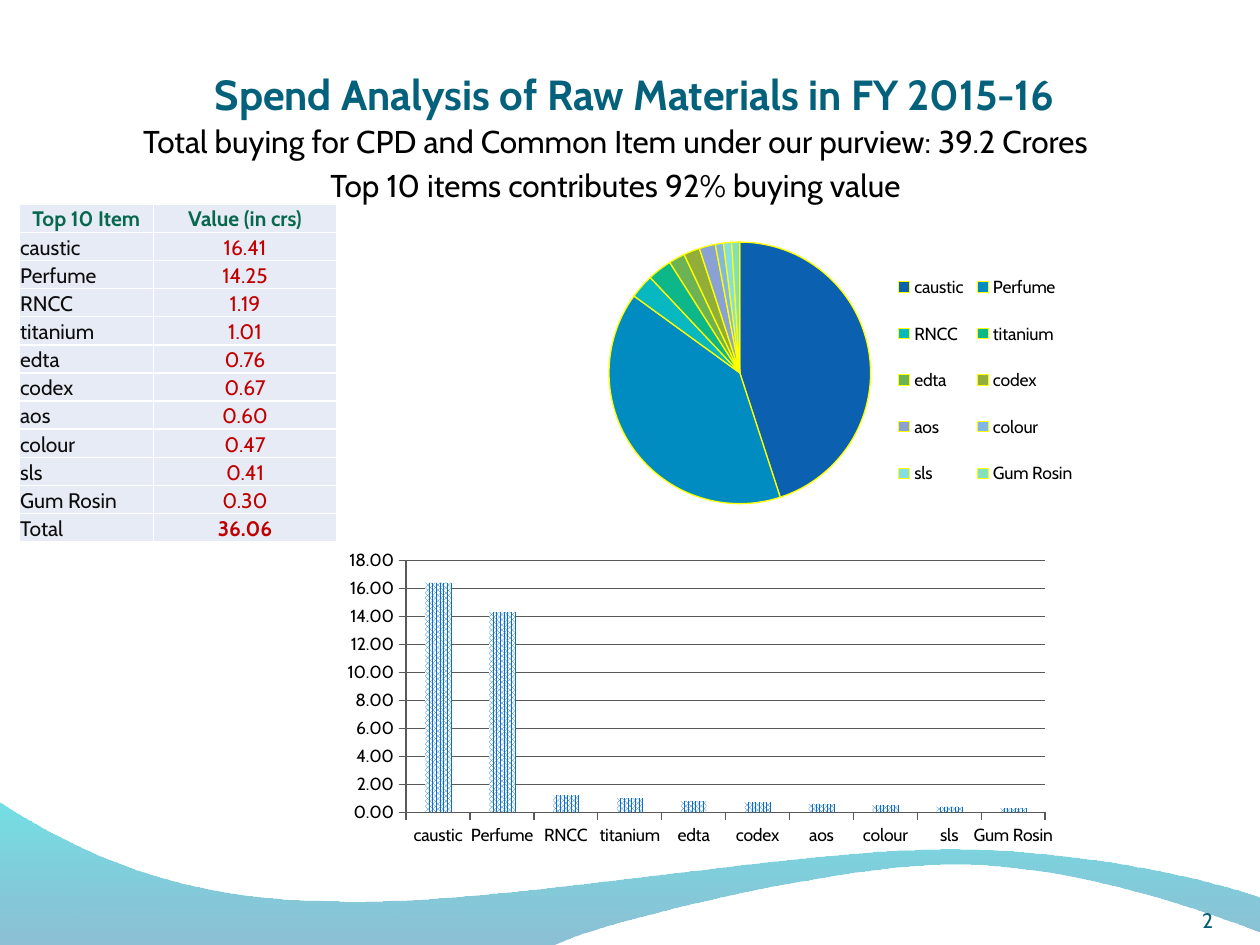
from dataclasses import dataclass

from lxml import etree
from pptx import Presentation
from pptx.chart.data import CategoryChartData
from pptx.dml.color import RGBColor
from pptx.enum.chart import XL_CHART_TYPE, XL_LEGEND_POSITION, XL_TICK_MARK
from pptx.enum.dml import MSO_PATTERN
from pptx.enum.text import MSO_ANCHOR, PP_ALIGN
from pptx.oxml.ns import qn
from pptx.util import Inches, Pt

PIE, COLUMN = XL_CHART_TYPE.PIE, XL_CHART_TYPE.COLUMN_CLUSTERED
LEGEND_RIGHT = XL_LEGEND_POSITION.RIGHT
TICK_OUT, TICK_NONE = XL_TICK_MARK.OUTSIDE, XL_TICK_MARK.NONE
DOTS = MSO_PATTERN.PERCENT_80
TOP, BOTTOM = MSO_ANCHOR.TOP, MSO_ANCHOR.BOTTOM
LEFT, CENTER = PP_ALIGN.LEFT, PP_ALIGN.CENTER


@dataclass(frozen=True)
class Theme:
    font: str = "Cabin"
    title: str = "04617B"
    number: str = "045D75"
    text: str = "000000"
    white: str = "FFFFFF"
    header: str = "08684E"
    item: str = "0D0D0D"
    value: str = "C00000"
    cell: str = "E7EBF5"
    bar: str = "0F6FC6"
    grid: str = "595959"
    slice_line: str = "FFFF00"
    slices: tuple = ("0B60AF", "008BC1", "07B8C1", "0DB789", "6DB356",
                     "92AE39", "8AA1D4", "84B6E2", "84DEE4", "84DFBC")
    wave: tuple = (("0074A1", 45), ("00C6CF", 55))
    title_size: int = 24
    body_size: int = 18
    small_size: int = 12
    chart_size: int = 10


THEME = Theme()
ITEMS = [("caustic", "16.41"), ("Perfume", "14.25"), ("RNCC", "1.19"),
         ("titanium", "1.01"), ("edta", "0.76"), ("codex", "0.67"),
         ("aos", "0.60"), ("colour", "0.47"), ("sls", "0.41"),
         ("Gum Rosin", "0.30")]
NAMES = [name for name, _ in ITEMS]
SHARES = [45, 40, 3, 3, 2, 2, 2, 1, 1, 1]
SPEND = [16.4, 14.3, 1.2, 1, 0.8, 0.7, 0.6, 0.5, 0.4, 0.3]
# Each wave edge is a start point followed by cubic curve segments.
LOWER_EDGE = [(4.4, 7.5), (4.76, 7.32), (6.64, 6.86), (7.58, 6.86),
              (8.53, 6.86), (9.58, 7.24), (10, 7.4)]
UPPER_EDGE = [(10.01, 7.13), (9.83, 7.05), (8.7, 6.73), (7.46, 6.74),
              (6.22, 6.74), (3.82, 7.21), (2.57, 7.15),
              (1.29, 7.14), (0.46, 6.66), (-0.01, 6.36)]


def rgb(value):
    return RGBColor.from_string(value)


def curve_points(nodes, steps=24):
    """Sample a chain of cubic Bezier segments."""
    points = [nodes[0]]
    for i in range(0, len(nodes) - 1, 3):
        for k in range(1, steps + 1):
            t = k / steps
            weights = ((1 - t) ** 3, 3 * t * (1 - t) ** 2,
                       3 * t * t * (1 - t), t ** 3)
            points.append(tuple(
                sum(w * node[axis] for w, node in zip(weights, nodes[i:i + 4]))
                for axis in (0, 1)))
    return points


def write(tf, *lines, size, color, bold=False, align=CENTER, anchor=TOP, before=0):
    tf.word_wrap = True
    tf.vertical_anchor = anchor
    for i, line in enumerate(lines):
        p = tf.add_paragraph() if i else tf.paragraphs[0]
        p.alignment = align
        if i:
            p.space_before = Pt(before)
        r = p.add_run()
        r.text = line
        r.font.name, r.font.size, r.font.bold = THEME.font, Pt(size), bold
        r.font.color.rgb = rgb(color)


def set_layout(parent, index, x, y, w, h, inner=False):
    """Place a plot area or legend by fractions of its chart."""
    for old in parent.findall(qn("c:layout")):
        parent.remove(old)
    layout = etree.Element(qn("c:layout"))
    manual = etree.SubElement(layout, qn("c:manualLayout"))
    values = [("layoutTarget", "inner")] if inner else []
    values += [("xMode", "edge"), ("yMode", "edge"),
               ("x", x), ("y", y), ("w", w), ("h", h)]
    for tag, value in values:
        etree.SubElement(manual, qn(f"c:{tag}")).set("val", str(value))
    parent.insert(index, layout)


class SlideBuilder:
    def __init__(self, prs):
        self.s = prs.slides.add_slide(prs.slide_layouts[6])

    def wave(self, points):
        start, *rest = [(Inches(x), Inches(y)) for x, y in points]
        builder = self.s.shapes.build_freeform(*start)
        builder.add_line_segments(rest, close=True)
        sp = builder.convert_to_shape()
        sp.shadow.inherit = False
        sp.line.fill.background()
        sp.fill.gradient()
        sp.fill.gradient_angle = 90
        for stop, (color, _) in zip(sp.fill.gradient_stops, THEME.wave):
            stop.color.rgb = rgb(color)
        colors = sp._element.spPr.iter(qn("a:srgbClr"))
        for element, (_, alpha) in zip(colors, THEME.wave):
            etree.SubElement(element, qn("a:alpha")).set("val", str(alpha * 1000))

    def text(self, box, *lines, inset=(0.1, 0.05), **fmt):
        tf = self.s.shapes.add_textbox(*map(Inches, box)).text_frame
        tf.margin_left = tf.margin_right = Inches(inset[0])
        tf.margin_top = tf.margin_bottom = Inches(inset[1])
        write(tf, *lines, **fmt)

    def table(self, box, widths, rows):
        table = self.s.shapes.add_table(
            len(rows), len(widths), *map(Inches, box)).table
        table.first_row = table.horz_banding = False
        for column, width in zip(table.columns, widths):
            column.width = Inches(width)
        last = len(rows) - 1
        for i, row in enumerate(rows):
            for j, value in enumerate(row):
                color = THEME.header if i == 0 else (THEME.item, THEME.value)[j]
                self.cell(table.cell(i, j), value, color=color,
                          bold=i == 0 or (i == last and j == 1),
                          align=LEFT if i and j == 0 else CENTER)

    def cell(self, cell, value, **fmt):
        cell.margin_left = cell.margin_right = cell.margin_top = Inches(0.01)
        cell.margin_bottom = 0
        cell.vertical_anchor = BOTTOM
        write(cell.text_frame, value, size=THEME.small_size, **fmt)
        tc_pr = cell._tc.get_or_add_tcPr()
        for side in ("lnL", "lnR", "lnT", "lnB"):
            line = etree.SubElement(tc_pr, qn(f"a:{side}"), w=str(Pt(1)))
            fill = etree.SubElement(line, qn("a:solidFill"))
            etree.SubElement(fill, qn("a:srgbClr"), val=THEME.white)
        cell.fill.solid()
        cell.fill.fore_color.rgb = rgb(THEME.cell)

    def chart(self, kind, box, values, plot_layout):
        data = CategoryChartData()
        data.categories = NAMES
        data.add_series("Series 1", values)
        chart = self.s.shapes.add_chart(kind, *map(Inches, box), data).chart
        chart.has_title = chart.has_legend = False
        chart.font.name, chart.font.size = THEME.font, Pt(THEME.chart_size)
        chart.font.color.rgb = rgb(THEME.text)
        plot_area = chart._chartSpace.chart.plotArea
        set_layout(plot_area, 0, *plot_layout, inner=True)
        return chart

    def pie(self, box, values):
        chart = self.chart(PIE, box, values, (0.21, 0.06, 0.4, 0.88))
        series = chart.plots[0].series[0]
        for i, color in enumerate(THEME.slices):
            fmt = series.points[i].format
            fmt.fill.solid()
            fmt.fill.fore_color.rgb = rgb(color)
            fmt.line.color.rgb = rgb(THEME.slice_line)
            fmt.line.width = Pt(0.75)
        chart.has_legend = True
        chart.legend.position = LEGEND_RIGHT
        chart.legend.include_in_layout = False
        set_layout(chart.legend._element, 1, 0.64, 0.09, 0.29, 0.87)

    def columns(self, box, values):
        chart = self.chart(COLUMN, box, values, (0.1, 0.06, 0.87, 0.82))
        plot = chart.plots[0]
        plot.gap_width, plot.vary_by_categories = 150, False
        fill = plot.series[0].format.fill
        fill.patterned()
        fill.pattern = DOTS
        fill.fore_color.rgb, fill.back_color.rgb = rgb(THEME.bar), rgb(THEME.white)
        axis = chart.value_axis
        axis.minimum_scale, axis.maximum_scale, axis.major_unit = 0, 18, 2
        axis.tick_labels.number_format = "0.00"
        axis.tick_labels.number_format_is_linked = False
        for ax in (axis, chart.category_axis):
            ax.major_tick_mark, ax.minor_tick_mark = TICK_OUT, TICK_NONE
            ax.format.line.color.rgb = rgb(THEME.grid)
        axis.major_gridlines.format.line.color.rgb = rgb(THEME.grid)


def main():
    prs = Presentation()
    prs.slide_width, prs.slide_height = Inches(10), Inches(7.5)
    b = SlideBuilder(prs)
    b.wave([(0, 7.5)] + curve_points(LOWER_EDGE) + curve_points(UPPER_EDGE))
    b.text((0.35, 0.44, 9.37, 0.55), "Spend Analysis of Raw Materials in FY 2015-16",
           inset=(0.05, 0.05), size=THEME.title_size, color=THEME.title,
           bold=True, anchor=BOTTOM)
    b.text((0.12, 0.92, 9.53, 6),
           "Total buying for CPD and Common Item under our purview: 39.2 Crores",
           "Top 10 items contributes 92% buying value",
           size=THEME.body_size, color=THEME.text, before=3.6)
    b.text((9.17, 7, 0.83, 0.4), "2", inset=(0, 0), size=THEME.small_size,
           color=THEME.number, anchor=BOTTOM)
    b.pie((3.74, 1.78, 5.2, 2.36), SHARES)
    b.table((0.15, 1.62, 2.52, 2.68), (1.07, 1.45),
            [("Top 10 Item", "Value (in crs)"), *ITEMS, ("Total", "36.06")])
    b.columns((2.64, 4.3, 5.83, 2.44), SPEND)
    prs.save("out.pptx")


if __name__ == "__main__":
    main()
